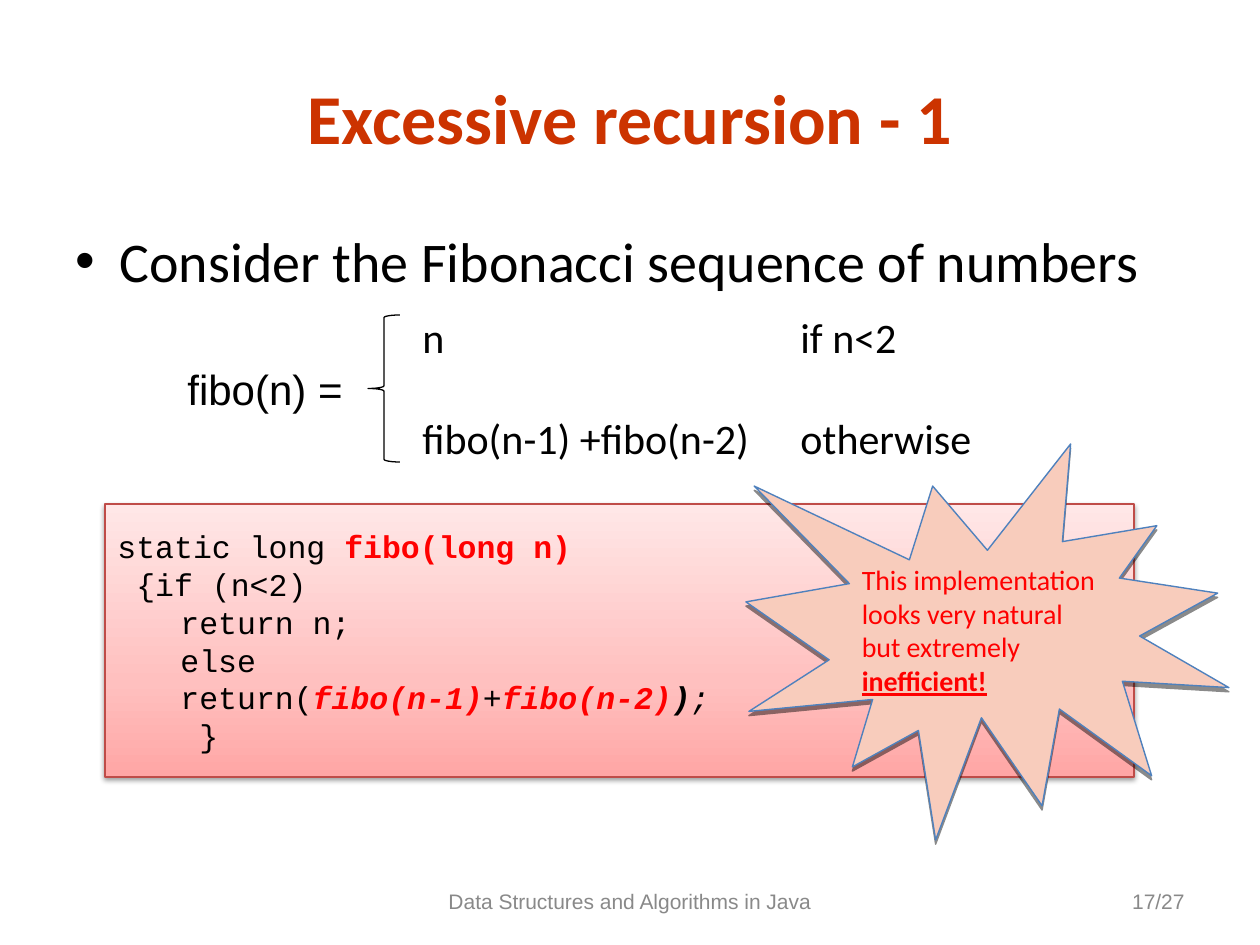
from dataclasses import dataclass

from pptx import Presentation
from pptx.dml.color import RGBColor
from pptx.enum.shapes import MSO_SHAPE
from pptx.enum.text import MSO_ANCHOR, PP_ALIGN
from pptx.oxml import parse_xml
from pptx.oxml.ns import nsdecls, qn
from pptx.util import Pt

PX = 7257  # EMU per px, 126 px to the inch
LEFT, CENTER, RIGHT = PP_ALIGN.LEFT, PP_ALIGN.CENTER, PP_ALIGN.RIGHT
TOP, MIDDLE = MSO_ANCHOR.TOP, MSO_ANCHOR.MIDDLE


@dataclass(frozen=True)
class Theme:
    heading: str = "CC3300"
    ink: str = "000000"
    accent: str = "FF0000"
    muted: str = "898989"
    code_border: str = "BF4C48"
    code_stops: tuple = ((0, "FFA6A5"), (35, "FFC0BF"), (100, "FFE7E7"))
    burst_fill: str = "F8CCBC"
    burst_border: str = "4F81BD"
    sans: str = "Calibri"
    plain: str = "Arial"
    mono: str = "Courier New"
    title_size: int = 40
    body_size: int = 32
    formula_size: int = 24
    code_size: int = 18
    burst_size: int = 16
    footer_size: int = 12


THEME = Theme()


def style(font, name, size, color, bold=False, italic=False):
    font.name, font.size = name, Pt(size)
    font.bold, font.italic = bold, italic
    font.color.rgb = RGBColor.from_string(color)


def add_shadow(shape, alpha, blur, distance):
    """Cast a black shadow straight down; alpha in percent, lengths in points."""
    shape.shadow.inherit = False
    shape._element.spPr.find(qn("a:effectLst")).append(parse_xml(
        f'<a:outerShdw {nsdecls("a")} blurRad="{Pt(blur)}" dist="{Pt(distance)}" '
        f'dir="5400000" rotWithShape="0"><a:srgbClr val="000000">'
        f'<a:alpha val="{alpha * 1000}"/></a:srgbClr></a:outerShdw>'))


prs = Presentation()
prs.slide_width, prs.slide_height = 1260 * PX, 945 * PX
slide = prs.slides.add_slide(prs.slide_layouts[1])
shapes = slide.shapes

# Title and opening bullet
title, body = shapes.title, slide.placeholders[1]
for placeholder, (left, top, width, height), text, anchor in (
    (title, (63, 68, 1134, 97), "Excessive recursion - 1", MIDDLE),
    (body, (63, 220, 1134, 80), "Consider the Fibonacci sequence of numbers", TOP),
):
    placeholder.left, placeholder.top = left * PX, top * PX
    placeholder.width, placeholder.height = width * PX, height * PX
    placeholder.text_frame.text = text
    placeholder.text_frame.vertical_anchor = anchor

heading = title.text_frame.paragraphs[0]
heading.alignment = CENTER
style(heading.runs[0].font, THEME.sans, THEME.title_size, THEME.heading, bold=True)

bullet = body.text_frame.paragraphs[0]
bullet.space_before = Pt(0)
bullet_props = bullet._p.get_or_add_pPr()
bullet_props.set("marL", str(44 * PX))
bullet_props.set("indent", str(-44 * PX))
bullet_props.append(parse_xml(f'<a:buChar {nsdecls("a")} char="•"/>'))
style(bullet.runs[0].font, THEME.sans, THEME.body_size, THEME.ink)

# Single-line labels: function name and footer
for box, text, size, color, align, anchor in (
    ((175, 357, 189, 63), "fibo(n) =", THEME.formula_size, THEME.ink, LEFT, TOP),
    ((399, 876, 462, 50), "Data Structures and Algorithms in Java",
     THEME.footer_size, THEME.muted, CENTER, MIDDLE),
    ((903, 876, 294, 50), "17/27", THEME.footer_size, THEME.muted, RIGHT, MIDDLE),
):
    frame = shapes.add_textbox(*(v * PX for v in box)).text_frame
    frame.word_wrap = True
    frame.vertical_anchor = anchor
    frame.text = text
    label = frame.paragraphs[0]
    label.alignment = align
    style(label.runs[0].font, THEME.plain, size, color)

# Two-case definition behind a brace
brace = shapes.add_shape(MSO_SHAPE.LEFT_BRACE, 368 * PX, 315 * PX, 32 * PX, 147 * PX)
brace.shadow.inherit = False
brace.fill.background()
brace.line.color.rgb = RGBColor.from_string(THEME.ink)
brace.line.width = Pt(0.75)

cases = shapes.add_textbox(410 * PX, 305 * PX, 583 * PX, 164 * PX).text_frame
cases.word_wrap = True
cases.text = "n\tif n<2\nfibo(n-1) +fibo(n-2)\totherwise"
for case in cases.paragraphs:
    case._p.get_or_add_pPr().append(parse_xml(
        f'<a:tabLst {nsdecls("a")}><a:tab pos="{378 * PX}" algn="l"/></a:tabLst>'))
    style(case.runs[0].font, THEME.sans, THEME.formula_size, THEME.ink)
cases.paragraphs[1].space_before = Pt(29)

# Code panel
code = shapes.add_shape(MSO_SHAPE.RECTANGLE, 105 * PX, 504 * PX, 1029 * PX, 273 * PX)
code.fill.gradient()
code.fill.gradient_angle = 90
stop_list = code._element.spPr.find(qn("a:gradFill")).find(qn("a:gsLst"))
for stop in list(stop_list):
    stop_list.remove(stop)
for position, color in THEME.code_stops:
    stop_list.append(parse_xml(
        f'<a:gs {nsdecls("a")} pos="{position * 1000}"><a:srgbClr val="{color}"/></a:gs>'))
code.line.color.rgb = RGBColor.from_string(THEME.code_border)
code.line.width = Pt(0.75)
add_shadow(code, 38, 3.1, 1.6)

# Each line: indent in px, then runs of (text, color, bold, italic)
ink, accent = THEME.ink, THEME.accent
code_lines = (
    (0, [("static long ", ink, False, False), ("fibo(long n)", accent, True, False)]),
    (0, [(" {if (n<2)", ink, False, False)]),
    (63, [("return n;", ink, False, False)]),
    (63, [("else", ink, False, False)]),
    (63, [("return(", ink, False, False), ("fibo(n-1)", accent, True, True),
          ("+", ink, False, True), ("fibo(n-2)", accent, True, True),
          (")", ink, True, True), (";", ink, False, True)]),
    (63, [(" }", ink, False, False)]),
)
code_frame = code.text_frame
code_frame.vertical_anchor = MIDDLE
for number, (indent, pieces) in enumerate(code_lines):
    line = code_frame.add_paragraph() if number else code_frame.paragraphs[0]
    line.alignment = LEFT
    line._p.get_or_add_pPr().set("marL", str(indent * PX))
    for text, color, bold, italic in pieces:
        run = line.add_run()
        run.text = text
        style(run.font, THEME.mono, THEME.code_size, color, bold, italic)

# Warning burst
burst = shapes.add_shape(MSO_SHAPE.EXPLOSION1, 746 * PX, 444 * PX, 483 * PX, 396 * PX)
burst.fill.solid()
burst.fill.fore_color.rgb = RGBColor.from_string(THEME.burst_fill)
burst.line.color.rgb = RGBColor.from_string(THEME.burst_border)
burst.line.width = Pt(0.79)
add_shadow(burst, 45, 0, 2.4)
burst.text_frame.vertical_anchor = MIDDLE
burst.text_frame.word_wrap = True
warning = burst.text_frame.paragraphs[0]
warning.alignment = LEFT
for text, strong in (
    ("This implementation looks very natural but extremely ", False),
    ("inefficient!", True),
):
    run = warning.add_run()
    run.text = text
    style(run.font, THEME.sans, THEME.burst_size, THEME.accent, bold=strong)
    run.font.underline = strong

prs.save("out.pptx")
